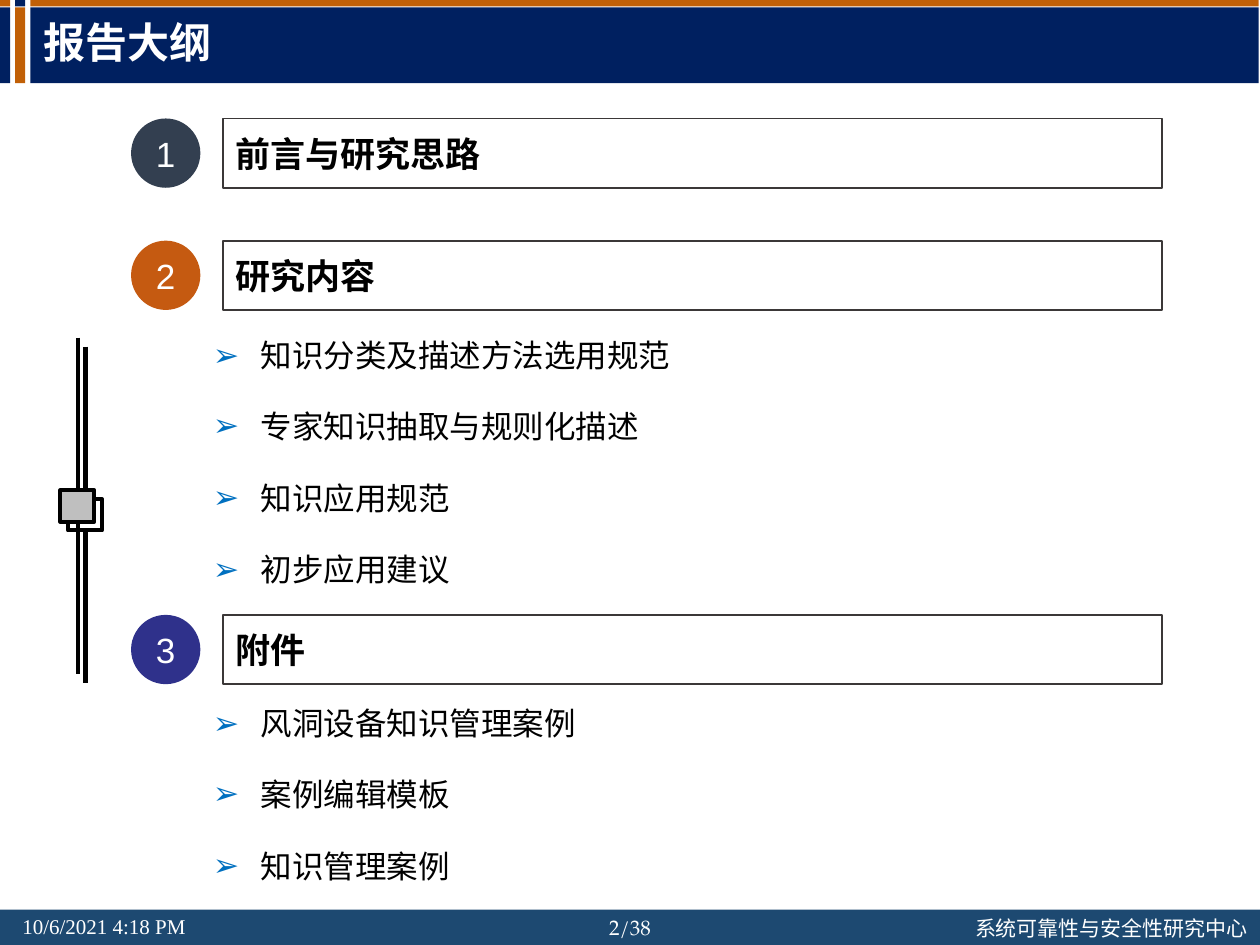
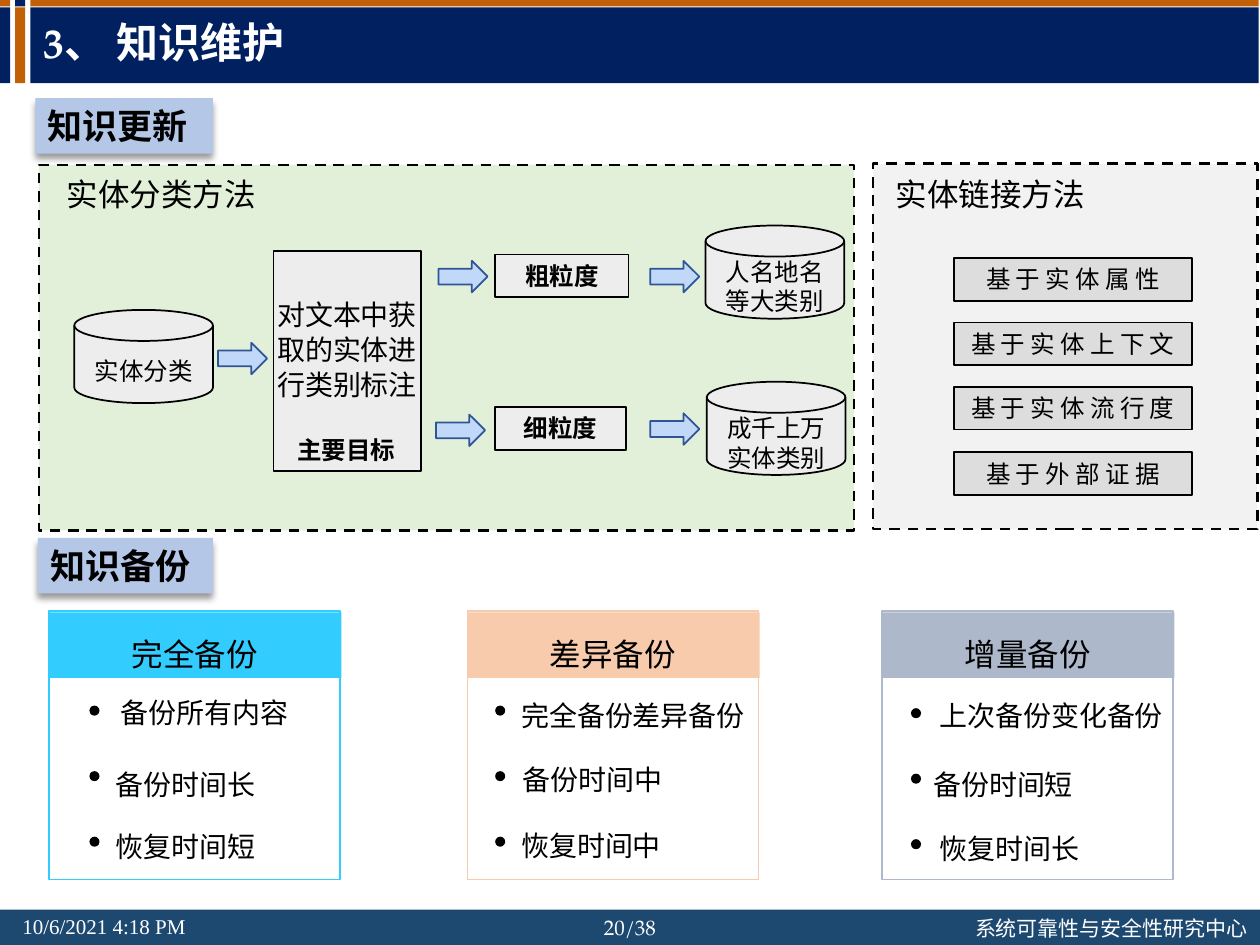
import lxml.etree
import pptx
import pptx.dml.color
import pptx.enum.dml
import pptx.enum.shapes
import pptx.enum.text
import pptx.oxml.ns
import pptx.util

SCALE = 9144
SHAPE = pptx.enum.shapes.MSO_SHAPE
ALIGN = pptx.enum.text.PP_ALIGN
ANCHOR = pptx.enum.text.MSO_ANCHOR
SANS = "Noto Sans CJK SC"
TIMES = "Times New Roman"
SERIF = "TeX Gyre Pagella"
COLORS = {
    "white": "FFFFFF", "black": "000000", "navy": "002060", "rust": "C16007",
    "foot": "1D4971", "frame": "3B3838", "slate": "333F50", "orange": "C55A11",
    "violet": "2F318B", "mark": "0070C0", "knob": "BFBFBF", "tag": "B4C7E7",
    "cyan": "33CCFF", "peach": "F8CBAD", "steel": "ADB9CA", "green": "E2F0D9",
    "pale": "F2F2F2", "node": "EDEDED", "link": "DDDDDD", "arrow": "C1D8F8",
    "edge": "2F5597",
}


def add(parent, tag, **attrs):
    return lxml.etree.SubElement(parent, pptx.oxml.ns.qn(tag), attrs)


class Deck:
    def __init__(self):
        self.show = pptx.Presentation()
        self.show.slide_width = self.px(1000)
        self.show.slide_height = self.px(750)
        self.slide = None

    def px(self, size):
        return pptx.util.Emu(size * SCALE)

    def color(self, name):
        return pptx.dml.color.RGBColor.from_string(COLORS[name])

    def page(self, title, number):
        self.slide = self.show.slides.add_slide(self.show.slide_layouts[6])
        self.shape(0, 722, 1000, 28, "foot")
        for x, w, low, top in ((24, 975, "navy", "rust"), (12, 8, "rust", "navy"),
                               (0, 8, "navy", "rust")):
            self.shape(x, 6, w, 60, low)
            self.shape(x, 0, w, 5, top)
        foot = {"size": 12, "color": "white"}
        self.text(8, 720, 163, 30, "10/6/2021 4:18 PM", face=TIMES, wrap=False, **foot)
        self.text(764, 722, 240, 30, "系统可靠性与安全性研究中心", wrap=False, **foot)
        self.text(465, 721, 70, 30, f"{number}/38", face=SERIF, align=ALIGN.CENTER, **foot)
        self.text(25, 6, 887, 60, title, size=24, face=SERIF, color="white",
                  bold=True, anchor=ANCHOR.MIDDLE, space=0.9)

    def shape(self, x, y, w, h, fill=None, line=None, width=1, kind=SHAPE.RECTANGLE,
              dash=False):
        item = self.slide.shapes.add_shape(kind, *map(self.px, (x, y, w, h)))
        item.shadow.inherit = False
        if fill:
            item.fill.solid()
            item.fill.fore_color.rgb = self.color(fill)
        else:
            item.fill.background()
        if line:
            item.line.color.rgb = self.color(line)
            item.line.width = pptx.util.Pt(width)
            if dash:
                item.line.dash_style = pptx.enum.dml.MSO_LINE.DASH
        else:
            item.line.fill.background()
        return item

    def letter(self, item, words, size=18, face=SANS, color="black", bold=False,
               align=ALIGN.LEFT, anchor=ANCHOR.TOP, space=None, wrap=True,
               gap=None, mark=None):
        frame = item.text_frame
        frame.text = words
        frame.word_wrap = wrap
        frame.vertical_anchor = anchor
        para = frame.paragraphs[0]
        para.alignment = align
        if space:
            para.line_spacing = space
        if mark:
            props = para._p.get_or_add_pPr()
            props.set("marL", str(self.px(38)))
            props.set("indent", str(self.px(-38)))
            add(add(props, "a:buClr"), "a:srgbClr", val=COLORS["mark"])
            add(props, "a:buFont", typeface="Arial")
            add(props, "a:buChar", char=mark)
        run = para.runs[0]
        run.font.size = pptx.util.Pt(size)
        run.font.bold = bold
        run.font.color.rgb = self.color(color)
        run.font.name = face
        props = run._r.get_or_add_rPr()
        add(props, "a:ea", typeface=SANS)
        if gap:
            props.set("spc", str(gap * 100))

    def text(self, x, y, w, h, words, **style):
        item = self.slide.shapes.add_textbox(*map(self.px, (x, y, w, h)))
        self.letter(item, words, **style)

    def rail(self, x, top, end):
        item = self.slide.shapes.add_connector(
            pptx.enum.shapes.MSO_CONNECTOR.STRAIGHT, *map(self.px, (x, top, x, end)))
        item.line.color.rgb = self.color("black")
        item.line.width = pptx.util.Pt(2.5)
        add(item._element.spPr, "a:effectLst")

    def head(self, y, number, words, fill):
        self.shape(177, y, 745, 55, line="frame")
        self.text(177, y + 6, 255, 44, words, size=20, face="Arial", bold=True)
        disc = self.shape(104, y, 55, 55, fill, kind=SHAPE.OVAL)
        self.letter(disc, number, size=20, face="Arial", color="white",
                    align=ALIGN.CENTER, anchor=ANCHOR.MIDDLE)

    def points(self, top, items):
        for i, words in enumerate(items):
            self.text(159, top + 170 * i // 3, 401, 40, words, mark="➢")

    def tag(self, x, y, w, words):
        item = self.shape(x, y, w, 44, "tag")
        self.letter(item, words, size=20, face=TIMES, bold=True)
        glow = item._element.spPr.find(pptx.oxml.ns.qn("a:effectLst"))
        shade = add(glow, "a:outerShdw", blurRad="50800", dist="38100", dir="5400000",
                    algn="t", rotWithShape="0")
        add(add(shade, "a:srgbClr", val=COLORS["black"]), "a:alpha", val="40000")

    def label(self, x, y, w, words, fill="node", **style):
        item = self.shape(x, y, w, 34, fill, "black")
        self.letter(item, words, size=14, face=TIMES, align=ALIGN.CENTER, **style)

    def disk(self, x, y, words, drop, h):
        self.shape(x, y, 110, 74, "node", "black", kind=SHAPE.FLOWCHART_MAGNETIC_DISK)
        self.text(x + 6, y + drop, 98, h, words, size=14, align=ALIGN.CENTER)

    def arrow(self, x, y):
        self.shape(x, y, 39, 25, "arrow", "edge", kind=SHAPE.RIGHT_ARROW)

    def card(self, x, fill, title, dot, top, rows):
        self.shape(x, 485, 231, 213, "white", fill)
        self.shape(x, 486, 232, 52, fill)
        self.text(x + 55, 484, 121, 50, title, align=ALIGN.CENTER, space=1.5, wrap=False)
        for i, (left, y, words) in enumerate(rows):
            self.text(left, y, 204, 36, words, size=16, face=TIMES,
                      anchor=ANCHOR.MIDDLE, space=1.5)
            self.shape(dot, top + 52 * i, 8, 8, "black", kind=SHAPE.OVAL)


def outline(deck):
    deck.page("报告大纲", 2)
    for x, y, fill in ((68, 275, "white"), (62, 268, "knob")):
        deck.rail(x, y, y + 267)
        deck.shape(x - 14, y + 121, 27, 25, fill, "black", 2.25)
    deck.head(94, "1", "前言与研究思路", "slate")
    deck.head(191, "2", "研究内容", "orange")
    deck.head(488, "3", "附件", "violet")
    deck.points(262, ("知识分类及描述方法选用规范", "专家知识抽取与规则化描述",
                      "知识应用规范", "初步应用建议"))
    deck.points(554, ("风洞设备知识管理案例", "案例编辑模板", "知识管理案例"))


def upkeep(deck):
    deck.page("3、 知识维护", 20)
    deck.tag(28, 78, 141, "知识更新")
    deck.tag(30, 427, 139, "知识备份")
    deck.card(39, "cyan", "完全备份", 71, 560, (
        (86, 541, "备份所有内容"), (82, 598, "备份时间长"), (82, 647, "恢复时间短")))
    deck.card(371, "peach", "差异备份", 393, 560, (
        (404, 543, "完全备份差异备份"), (405, 594, "备份时间中"), (404, 646, "恢复时间中")))
    deck.card(700, "steel", "增量备份", 723, 562, (
        (736, 543, "上次备份变化备份"), (731, 598, "备份时间短"), (736, 649, "恢复时间长")))

    deck.shape(31, 131, 647, 290, "green", "black", 1.5, dash=True)
    deck.shape(693, 130, 305, 290, "pale", "black", 1.5, dash=True)
    deck.text(43, 134, 433, 40, "实体分类方法", face=TIMES)
    deck.text(701, 134, 175, 40, "实体链接方法", face=TIMES)

    deck.disk(59, 246, "实体分类", 32, 34)
    deck.shape(217, 199, 117, 175, "node", "black")
    deck.text(201, 230, 149, 120, "对文本中获取的实体进行类别标注", size=16,
              face="Arial", align=ALIGN.CENTER, space=pptx.util.Pt(20))
    deck.text(222, 340, 106, 34, "主要目标", size=14, face=TIMES, bold=True,
              align=ALIGN.CENTER)
    deck.label(393, 202, 106, "粗粒度", bold=True)
    deck.label(393, 323, 104, "细粒度", bold=True)
    deck.disk(560, 179, "人名地名等大类别", 20, 57)
    deck.disk(561, 303, "成千上万实体类别", 20, 57)
    for x, y in ((173, 272), (348, 207), (346, 329), (516, 207), (516, 328)):
        deck.arrow(x, y)
    links = ("基于实体属性", "基于实体上下文", "基于实体流行度", "基于外部证据")
    for i, words in enumerate(links):
        deck.label(757, 205 + 154 * i // 3, 189, words, "link", gap=3)


def main():
    deck = Deck()
    outline(deck)
    upkeep(deck)
    deck.show.save("out.pptx")


if __name__ == "__main__":
    main()
